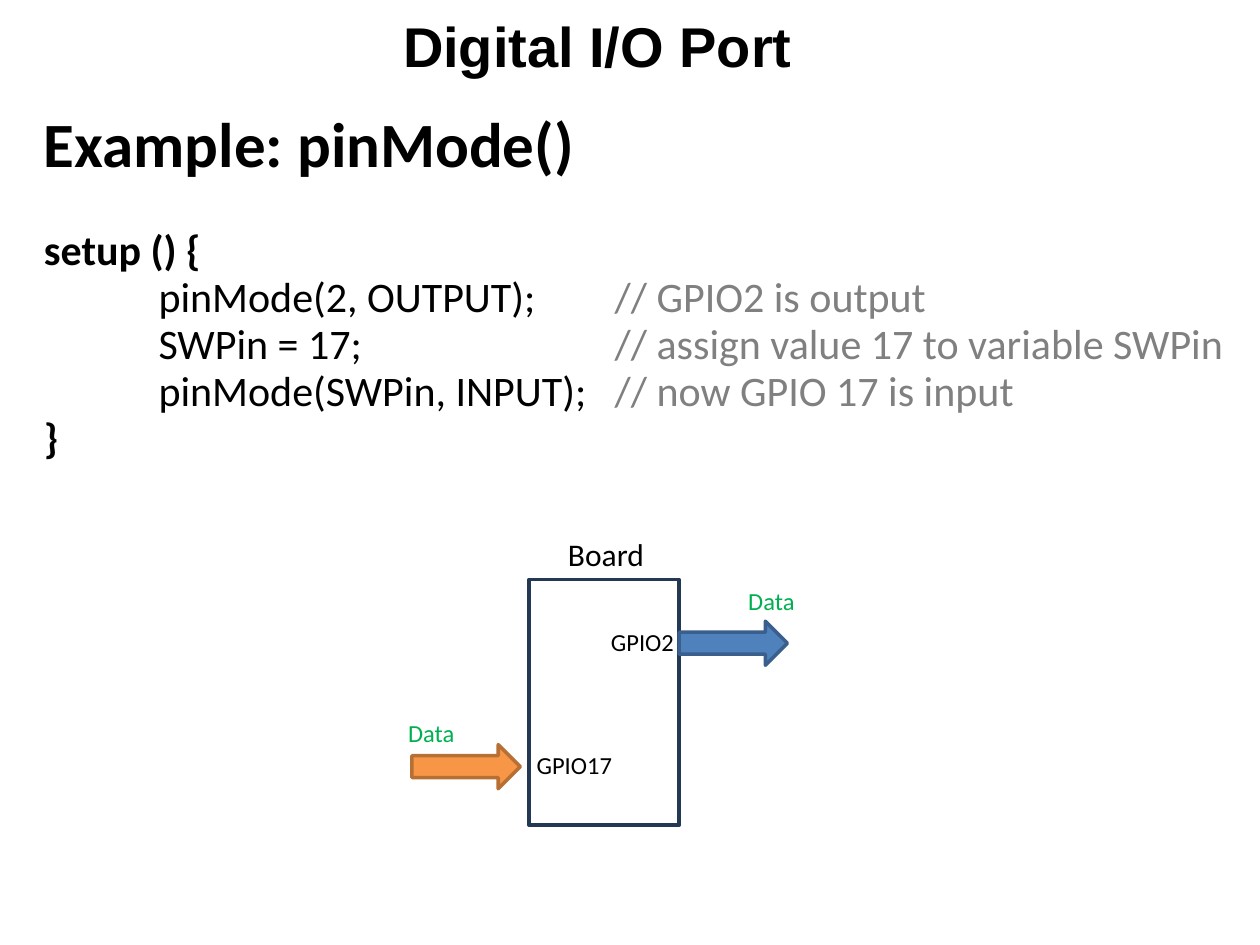
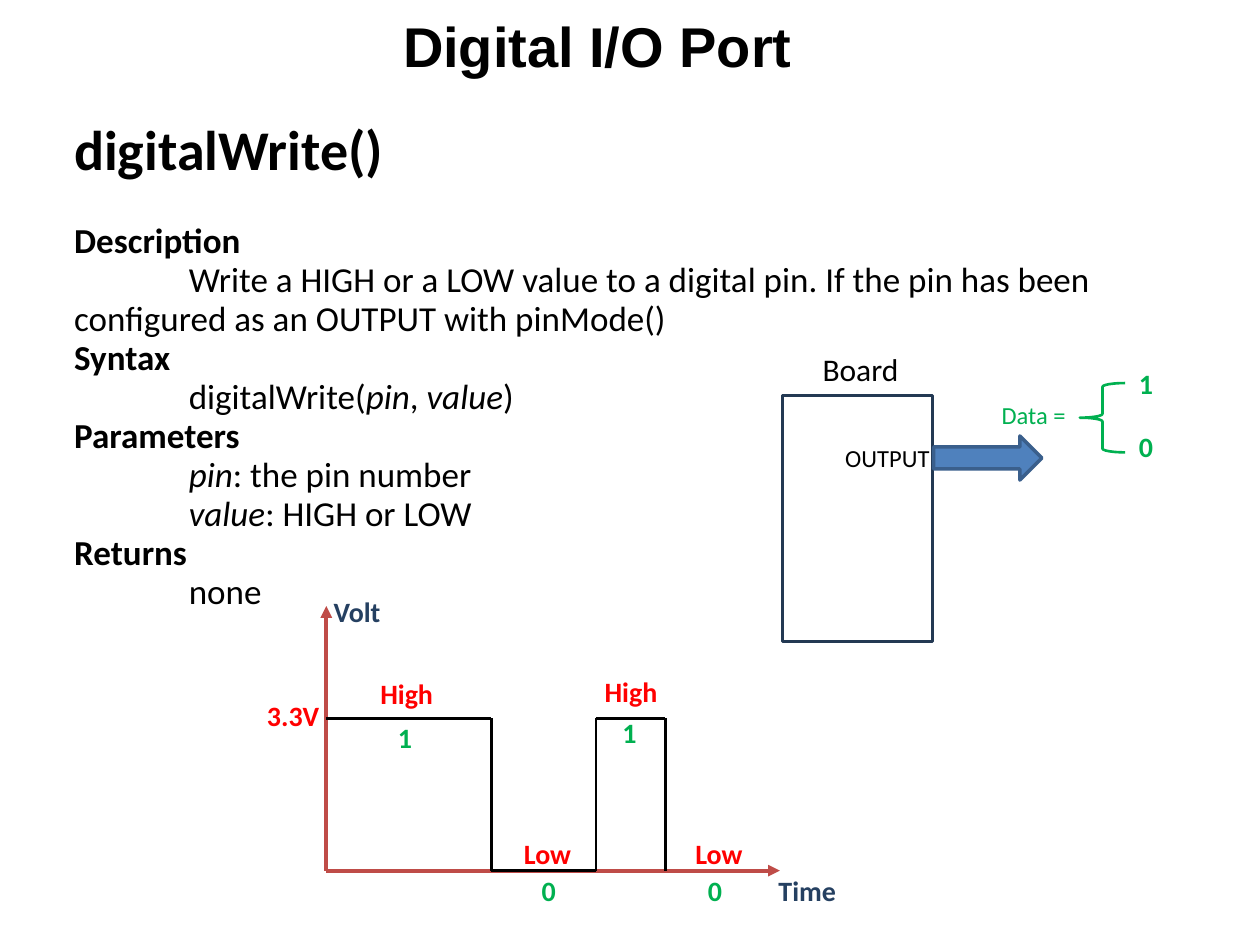
from lxml import etree
from pptx import Presentation
from pptx.dml.color import RGBColor
from pptx.enum.shapes import MSO_CONNECTOR, MSO_SHAPE
from pptx.enum.text import MSO_AUTO_SIZE
from pptx.oxml.ns import qn
from pptx.util import Inches, Pt

RECT = MSO_SHAPE.RECTANGLE
ARROW = MSO_SHAPE.RIGHT_ARROW
BRACE = MSO_SHAPE.LEFT_BRACE
STRAIGHT = MSO_CONNECTOR.STRAIGHT
GROW = MSO_AUTO_SIZE.SHAPE_TO_FIT_TEXT

BLACK, GRAY, GREEN, RED = "000000", "808080", "00B050", "FF0000"
NAVY, CHIP_LINE, AXIS = "254061", "233953", "BF4C48"
BLUE, BLUE_LINE = "4F81BD", "3A5F8C"
ORANGE, ORANGE_LINE = "F79646", "B76F34"
TABS = (0.91, 4.53)


def rgb(value):
    return RGBColor.from_string(value)


def add_text(s, paragraphs, x, y, w, h, size=14, color=BLACK, bold=False,
             font="Calibri", spacing=0.93, wrap=True, tabs=()):
    """Each paragraph is a string or a list of (text, format) runs."""
    tf = s.shapes.add_textbox(Inches(x), Inches(y), Inches(w), Inches(h)).text_frame
    tf.word_wrap = wrap
    tf.auto_size = GROW
    if isinstance(paragraphs, str):
        paragraphs = [paragraphs]
    for i, runs in enumerate(paragraphs):
        p = tf.add_paragraph() if i else tf.paragraphs[0]
        if tabs:
            tab_list = etree.SubElement(p._p.get_or_add_pPr(), qn("a:tabLst"))
            for stop in tabs:
                etree.SubElement(tab_list, qn("a:tab"), pos=str(Inches(stop)), algn="l")
        p.line_spacing = spacing
        for run_text, fmt in [(runs, {})] if isinstance(runs, str) else runs:
            r = p.add_run()
            r.text = run_text
            r.font.name = font
            r.font.size = Pt(fmt.get("size", size))
            r.font.bold = fmt.get("bold", bold)
            r.font.italic = fmt.get("italic", False)
            r.font.color.rgb = rgb(fmt.get("color", color))
    return tf


prs = Presentation()
prs.slide_width, prs.slide_height = Inches(10), Inches(7.5)
pin_mode, digital_write = [prs.slides.add_slide(prs.slide_layouts[6]) for _ in range(2)]

# Shared title
for s in (pin_mode, digital_write):
    add_text(s, "Digital I/O Port", 3.1, 0.09, 3.32, 0.6, size=32, bold=True,
             font="Arial", wrap=False)

# Code example
strong, italic, note = {"bold": True}, {"italic": True}, {"color": GRAY}
tf = add_text(pin_mode, [
    [("Example: pinMode()", {"size": 36, "bold": True})],
    [("setup () {", strong)],
    [("\tpinMode(2, OUTPUT);\t", {}), ("// GPIO2 is output", note)],
    [("\tSWPin = 17;\t", {}), ("// assign value 17 to variable SWPin", note)],
    [("\tpinMode(SWPin, INPUT);\t", {}), ("// now GPIO 17 is input", note)],
    [("}", strong)],
], 0.25, 0.83, 9.59, 2.92, size=24, tabs=TABS)
tf.paragraphs[1].space_before = Pt(27)

# Function reference
tf = add_text(digital_write, [
    [("digitalWrite()", {"size": 32, "bold": True})],
    [("Description", strong)],
    "\tWrite a HIGH or a LOW value to a digital pin. If the pin has been "
    "configured as an OUTPUT with pinMode()",
    [("Syntax", strong)],
    [("\tdigitalWrite(", {}), ("pin", italic), (", ", {}), ("value", italic), (")", {})],
    [("Parameters", strong)],
    [("\t", {}), ("pin", italic), (": the pin number", {})],
    [("\t", {}), ("value", italic), (": HIGH or LOW", {})],
    [("Returns", strong)],
    "\tnone",
], 0.49, 0.91, 9.01, 4.05, size=20, tabs=TABS)
tf.paragraphs[1].space_before = Pt(22)

# Chips, data arrows and brace
for s, kind, x, y, w, h, fill, line, weight in [
    (pin_mode, RECT, 4.2, 4.6, 1.19, 1.95, None, CHIP_LINE, 2),
    (pin_mode, ARROW, 5.39, 4.93, 0.86, 0.35, BLUE, BLUE_LINE, 2),
    (pin_mode, ARROW, 3.27, 5.91, 0.86, 0.35, ORANGE, ORANGE_LINE, 2),
    (digital_write, RECT, 6.21, 3.14, 1.19, 1.95, None, CHIP_LINE, 2),
    (digital_write, ARROW, 7.41, 3.46, 0.86, 0.35, BLUE, BLUE_LINE, 2),
    (digital_write, BRACE, 8.57, 3.04, 0.36, 0.55, None, GREEN, 1.5),
]:
    sp = s.shapes.add_shape(kind, Inches(x), Inches(y), Inches(w), Inches(h))
    sp.shadow.inherit = False
    if fill:
        sp.fill.solid()
        sp.fill.fore_color.rgb = rgb(fill)
    else:
        sp.fill.background()
    sp.line.color.rgb = rgb(line)
    sp.line.width = Pt(weight)

# Chip and pin labels
for s, x, y in [(pin_mode, 4.41, 4.2), (digital_write, 6.43, 2.73)]:
    add_text(s, "Board", x, y, 0.9, 0.4, size=18, spacing=1.0, wrap=False)
for s, label, x, y, w, color in [
    (pin_mode, "GPIO2", 4.75, 4.95, 0.71, BLACK),
    (pin_mode, "GPIO17", 4.16, 5.92, 0.81, BLACK),
    (pin_mode, "Data", 5.84, 4.62, 0.57, GREEN),
    (pin_mode, "Data", 3.14, 5.67, 0.57, GREEN),
    (digital_write, "OUTPUT", 6.61, 3.49, 0.88, BLACK),
    (digital_write, "Data =", 7.85, 3.15, 0.71, GREEN),
]:
    add_text(s, label, x, y, w, 0.32, color=color, wrap=False)
tf = add_text(digital_write, ["1", "0"], 8.94, 2.88, 0.41, 0.85, size=16,
              color=GREEN, bold=True)
tf.paragraphs[1].space_before = Pt(18.2)

# Timing diagram: axes, then the square wave
left, high, low = 2.59, 5.7, 6.91
wave = [(left, high), (3.9, high), (3.9, low), (4.73, low),
        (4.73, high), (5.28, high), (5.28, low)]
lines = [((left, low), (left, 4.81), AXIS), ((left, low), (6.19, low), AXIS)]
lines += [(start, end, BLACK) for start, end in zip(wave, wave[1:])]
for (x1, y1), (x2, y2), color in lines:
    cn = digital_write.shapes.add_connector(
        STRAIGHT, Inches(x1), Inches(y1), Inches(x2), Inches(y2))
    cn.line.color.rgb = rgb(color)
    cn.line.width = Pt(2.25 if color == AXIS else 1.5)
    if color == AXIS:
        etree.SubElement(cn.line._get_or_add_ln(), qn("a:tailEnd"), type="triangle")
    etree.SubElement(cn._element.spPr, qn("a:effectLst"))

# Timing diagram labels
for label, x, y, w, color in [
    ("1", 3.06, 5.69, 0.41, GREEN),
    ("0", 4.2, 6.91, 0.41, GREEN),
    ("1", 4.84, 5.65, 0.41, GREEN),
    ("0", 5.52, 6.91, 0.41, GREEN),
    ("3.3V", 2.02, 5.52, 0.98, RED),
    ("Volt", 2.55, 4.69, 0.69, NAVY),
    ("Time", 6.08, 6.91, 0.81, NAVY),
    ("High", 2.92, 5.34, 0.69, RED),
    ("Low", 4.06, 6.61, 0.69, RED),
    ("High", 4.7, 5.33, 0.69, RED),
    ("Low", 5.42, 6.61, 0.69, RED),
]:
    add_text(digital_write, label, x, y, w, 0.35, size=16, color=color, bold=True)

prs.save("out.pptx")
